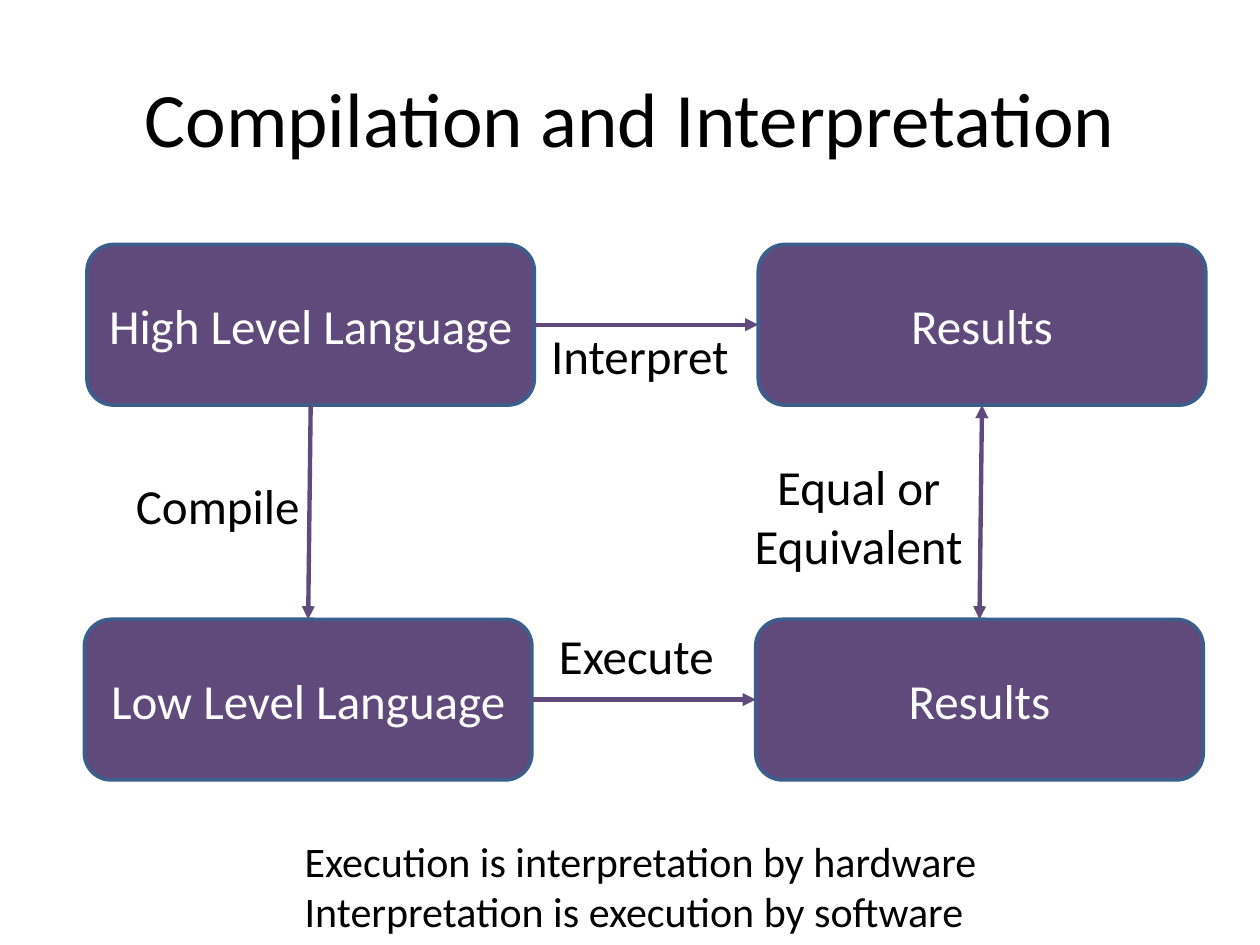
from lxml import etree
from pptx import Presentation
from pptx import util as u
from pptx.dml.color import RGBColor
from pptx.enum import shapes, text
from pptx.oxml import ns

PURPLE = RGBColor(0x60, 0x4A, 0x7B)
BLUE = RGBColor(0x3A, 0x5F, 0x8C)
WHITE = RGBColor(0xFF, 0xFF, 0xFF)
BLACK = RGBColor(0, 0, 0)
FONT = "Calibri"
TOP, LEFT, BOTTOM, RIGHT = range(4)


def inches(*lengths):
    """Convert several lengths to slide units."""
    return [u.Inches(n) for n in lengths]


def write(tf, lines, size, color, align, anchor):
    """Fill a text frame with one paragraph per line."""
    tf.word_wrap = True
    tf.vertical_anchor = anchor
    for i, line in enumerate(lines):
        p = tf.paragraphs[0] if i == 0 else tf.add_paragraph()
        p.text = line
        p.alignment = align
        p.font.name, p.font.size = FONT, u.Pt(size)
        p.font.color.rgb = color


def label(slide, box, lines, size=28, align=text.PP_ALIGN.LEFT,
          anchor=text.MSO_ANCHOR.TOP):
    """Add plain black text in the given box."""
    sp = slide.shapes.add_textbox(*inches(*box))
    write(sp.text_frame, lines, size, BLACK, align, anchor)


def stage(slide, box, name):
    """Add one rounded stage of the diagram."""
    sp = slide.shapes.add_shape(shapes.MSO_SHAPE.ROUNDED_RECTANGLE, *inches(*box))
    sp.shadow.inherit = False
    sp.fill.solid()
    sp.fill.fore_color.rgb = PURPLE
    sp.line.color.rgb, sp.line.width = BLUE, u.Pt(2)
    tf = sp.text_frame
    tf.margin_left = tf.margin_right = 0
    write(tf, [name], 28, WHITE, text.PP_ALIGN.CENTER, text.MSO_ANCHOR.MIDDLE)
    return sp


def arrow(slide, start, start_side, end, end_side, ends=("tailEnd",)):
    """Join two stages with a line that has triangles at the named ends."""
    c = slide.shapes.add_connector(shapes.MSO_CONNECTOR.STRAIGHT, 0, 0, 0, 0)
    c.begin_connect(start, start_side)
    c.end_connect(end, end_side)
    c.line.color.rgb, c.line.width = PURPLE, u.Pt(2.5)
    ln = c.line._get_or_add_ln()
    for end_name in ends:
        etree.SubElement(ln, ns.qn("a:" + end_name), type="triangle")
    etree.SubElement(c._element.spPr, ns.qn("a:effectLst"))


def diagram(slide, box):
    """Draw the two rows of stages, their arrows and the arrow labels."""
    x, y, w, h = box
    stage_w, stage_h, shift = w * 0.4, h * 0.3, 0.02
    cols, rows = (x, x + w * 0.6), (y, y + h * 0.7)
    names = (("High Level Language", "Results"), ("Low Level Language", "Results"))
    (high, top_result), (low, low_result) = [
        [stage(slide, (left + shift * (1 - i), top, stage_w, stage_h), name)
         for left, name in zip(cols, names[i])]
        for i, top in enumerate(rows)]
    arrow(slide, high, BOTTOM, low, TOP)
    arrow(slide, top_result, BOTTOM, low_result, TOP, ("headEnd", "tailEnd"))
    arrow(slide, high, RIGHT, top_result, LEFT)
    arrow(slide, low, RIGHT, low_result, LEFT)
    label(slide, (x + w * 0.035, y + h * 0.42, 1.57, 0.57), ["Compile"])
    label(slide, (x + w * 0.413, y + h * 0.7, 1.65, 0.57), ["Execute"])
    label(slide, (x + w * 0.406, y + h * 0.14, 1.65, 0.57), ["Interpret"])
    label(slide, (x + w * 0.585, y + h * 0.384, 1.9, 1.04),
          ["Equal or", "Equivalent"], align=text.PP_ALIGN.CENTER)


def main():
    """Build and save the slide."""
    prs = Presentation()
    prs.slide_width, prs.slide_height = inches(10, 7.5)
    s = prs.slides.add_slide(prs.slide_layouts[6])
    label(s, (0.5, 0.3, 9, 1.25), ["Compilation and Interpretation"], 44,
          text.PP_ALIGN.CENTER, text.MSO_ANCHOR.MIDDLE)
    diagram(s, (0.67, 1.94, 8.88, 4.25))
    label(s, (2.32, 6.58, 5.56, 0.91),
          ["Execution is interpretation by hardware",
           "Interpretation is execution by software"], 24)
    prs.save("out.pptx")


main()
